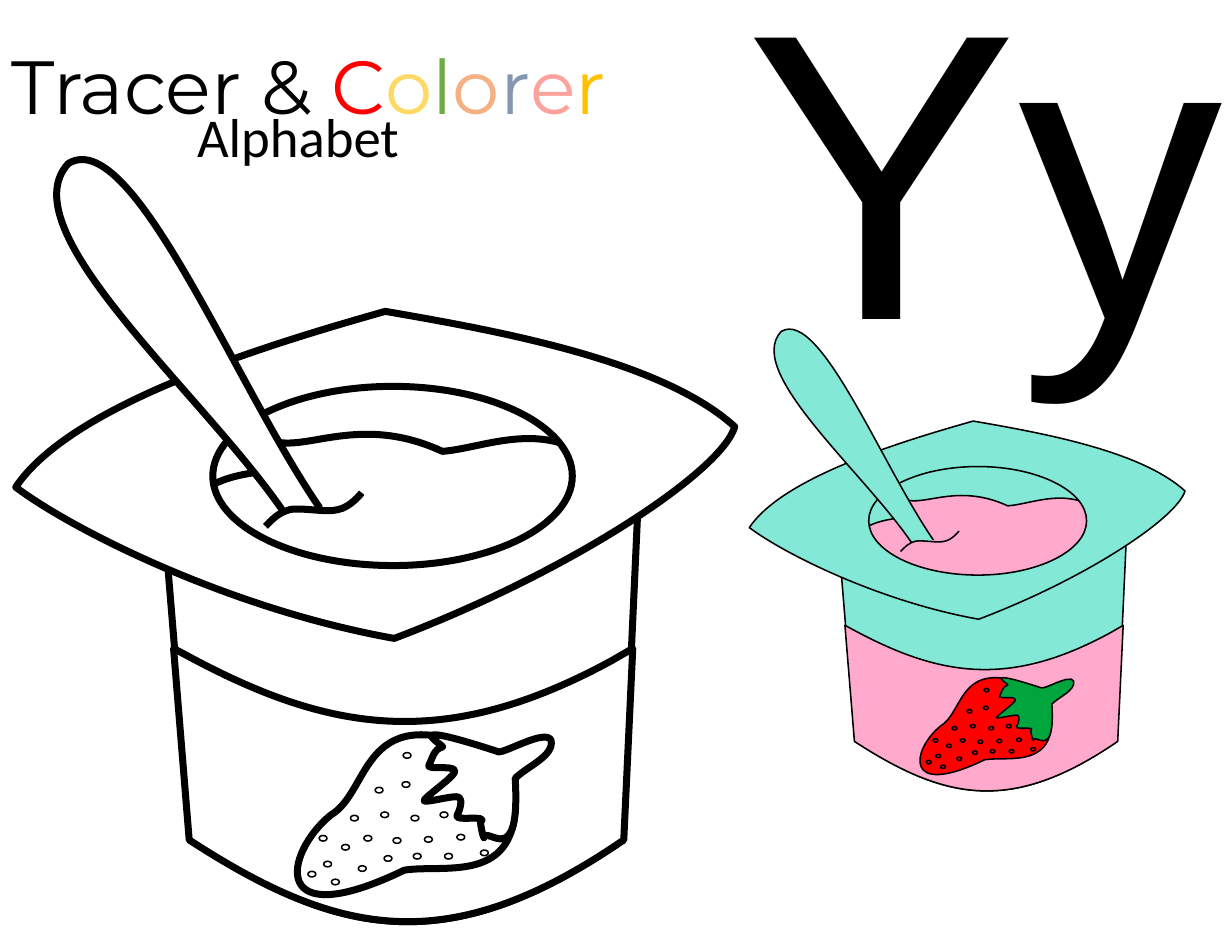
from lxml import etree
from pptx import Presentation
from pptx.dml.color import RGBColor
from pptx.enum.shapes import MSO_SHAPE
from pptx.enum.text import MSO_ANCHOR, MSO_AUTO_SIZE, PP_ALIGN
from pptx.oxml.ns import qn
from pptx.util import Inches, Pt

TITLE = [("Tracer & ", "000000"), ("C", "FF0000"), ("o", "FFD966"), ("l", "70AD47"),
         ("o", "F4B183"), ("r", "8497B0"), ("e", "FCA29C"), ("r", "FFC000")]
SUBTITLE = [("Alphabet", "000000")]
LETTERS = [("Yy", "000000")]

CUP = [[(1.39, 3.74), (3.81, 2.56, 5.3, 3.36, 5.73, 3.78), (5.56, 7.5),
        (4.01, 8.57, 3.03, 8.37, 1.7, 7.5)]]
LABEL = [[(1.55, 5.79), (1.7, 5.87), (2.97, 6.55, 3.99, 6.7, 5.46, 5.9), (5.65, 5.79),
          (5.57, 7.5), (4.01, 8.57, 3.03, 8.37, 1.69, 7.5)]]
YOGURT = [[(2.49, 3.95), (2.79, 4, 3.26, 3.71, 3.95, 4.03), (4.36, 4, 4.97, 3.67, 5.49, 4.29),
           (5.13, 4.56, 5.09, 4.83, 4.4, 5.1), (2.28, 5.1),
           (1.83, 4.95, 1.28, 4.33, 2.35, 4.21), (2.38, 4.02, 2.16, 3.97, 2.49, 3.95)]]
LID = [[(3.44, 2.78), (4.48, 2.96, 5.91, 3.22, 6.56, 3.81), (6.45, 4.2, 5.13, 5.09, 3.52, 5.7),
        (2.06, 5.44, 0.66, 4.74, 0.14, 4.35), (0.63, 3.62, 2.31, 3.1, 3.44, 2.78)],
       [(3.51, 3.45), (2.62, 3.45, 1.9, 3.81, 1.9, 4.25), (1.9, 4.69, 2.62, 5.05, 3.51, 5.05),
        (4.39, 5.05, 5.11, 4.69, 5.11, 4.25), (5.11, 3.81, 4.39, 3.45, 3.51, 3.45)]]
SPOON = [[(0.61, 1.46), (1.2, 1.1, 2.15, 3.58, 2.93, 4.64), (2.63, 4.72),
          (1.96, 3.63, 0.04, 2.08, 0.61, 1.46)]]
DIP = [[(3.36, 4.32), (3.61, 4.33, 3.6, 4.41, 3.64, 4.51), (3.5, 4.62, 2.9, 4.72, 2.64, 4.82),
        (2.41, 4.75, 2.44, 4.75, 2.37, 4.68), (2.43, 4.61, 2.87, 4.55, 3.03, 4.48),
        (3.2, 4.43, 3.25, 4.3, 3.36, 4.32)]]
RIPPLE = [[(2.37, 4.7), (2.43, 4.64, 2.48, 4.58, 2.59, 4.55),
           (2.7, 4.53, 2.92, 4.58, 3.02, 4.55), (3.13, 4.53, 3.23, 4.4, 3.23, 4.4)]]
BERRY = [[(4.41, 6.74), (4.59, 6.98), (4.7, 7.93, 3.98, 7.71, 3.61, 7.77),
          (2.41, 8.35, 2.53, 7.63, 2.95, 7.28), (3.33, 7.06, 3.21, 6.19, 4.41, 6.74)]]
LEAF = [[(4.44, 6.71), (4.47, 6.75, 4.87, 6.5, 4.92, 6.61), (4.95, 6.75, 4.71, 6.84, 4.6, 6.95),
         (4.65, 7.79, 4.35, 7.37, 4.32, 7.48), (4.31, 7.46, 4.29, 7.37, 4.29, 7.34),
         (4.37, 7.27, 4.05, 7.34, 4.08, 7.28), (4.11, 7.23, 4.13, 7.14, 4.1, 7.12),
         (4.07, 7.09, 3.74, 7.19, 3.79, 7.14), (3.84, 7.08, 4.08, 6.92, 4.06, 6.88),
         (4.04, 6.83, 3.8, 6.88, 3.83, 6.83), (3.86, 6.78, 3.87, 6.69, 3.95, 6.67),
         (3.99, 6.67, 3.49, 6.4, 4.44, 6.71)]]
SEEDS = [(3.6, 6.72), (3.59, 6.98), (3.35, 7.03), (3.4, 7.25), (3.67, 7.28), (3.93, 7.25),
         (3.79, 7.47), (4.08, 7.45), (3.97, 7.62), (4.29, 7.59), (3.69, 7.62), (3.51, 7.48),
         (3.13, 7.28), (3.25, 7.46), (3.43, 7.64), (3.2, 7.73), (3.05, 7.54), (2.85, 7.46),
         (2.89, 7.69), (2.96, 7.85), (2.75, 7.78)]
SEED_SIZE = (0.07, 0.05)
SEED_LINE = 1
LID_BOX = (0.14, 2.78, 6.42)
SMALL_LID_BOX = (6.69, 3.76, 3.89)
CURVE_STEPS = 20

PARTS = [(CUP, "cup", True), (LABEL, "yogurt", True), (YOGURT, "yogurt", True),
         (LID, "cup", True), (SPOON, "cup", True), (DIP, "yogurt", False),
         (RIPPLE, "yogurt", True), (BERRY, "berry", True), (LEAF, "leaf", True)]
COLORED = {"cup": "83E8D6", "yogurt": "FFA9CC", "berry": "FF0000", "leaf": "00A53E"}
BLANK = dict.fromkeys(COLORED, "FFFFFF")


def color(hex_string):
    return RGBColor.from_string(hex_string)


def pairs(segment):
    return list(zip(segment[::2], segment[1::2]))


def flatten(contour):
    points = [contour[0]]
    for segment in contour[1:]:
        if len(segment) == 2:
            points.append(segment)
            continue
        nodes = [points[-1]] + pairs(segment)
        for step in range(1, CURVE_STEPS + 1):
            t = step / CURVE_STEPS
            weights = ((1 - t) ** 3, 3 * t * (1 - t) ** 2, 3 * t * t * (1 - t), t ** 3)
            points.append(tuple(sum(weight * node[axis] for weight, node in zip(weights, nodes))
                                for axis in (0, 1)))
    return points


def draw_outline(shapes, contours, place, closed):
    points = [place(point) for contour in contours for point in flatten(contour)]
    builder = shapes.build_freeform(*points[0])
    builder.add_line_segments(points[1:], close=closed)
    shape = builder.convert_to_shape()
    outline = next(shape.element.iter(qn("a:path")))
    for child in list(outline):
        outline.remove(child)
    for contour in contours:
        for index, segment in enumerate(contour):
            tag = "a:cubicBezTo" if len(segment) == 6 else "a:lnTo" if index else "a:moveTo"
            command = etree.SubElement(outline, qn(tag))
            for x, y in map(place, pairs(segment)):
                etree.SubElement(command, qn("a:pt"), x=str(x - shape.left), y=str(y - shape.top))
        if closed:
            etree.SubElement(outline, qn("a:close"))
    return shape


def paint(shape, fill, line_width):
    shape.shadow.inherit = False
    shape.fill.solid()
    shape.fill.fore_color.rgb = color(fill)
    if line_width:
        shape.line.color.rgb = color("000000")
        shape.line.width = Pt(line_width)
    else:
        shape.line.fill.background()


def draw_cup(slide, lid_box, palette, line_width):
    shapes = slide.shapes.add_group_shape().shapes
    scale = lid_box[2] / LID_BOX[2]

    def place(point):
        return tuple(Inches(start + scale * (value - origin))
                     for start, value, origin in zip(lid_box, point, LID_BOX))

    for contours, part, outlined in PARTS:
        shape = draw_outline(shapes, contours, place, contours is not RIPPLE)
        paint(shape, palette[part], line_width if outlined else 0)
    width, height = (Inches(scale * side) for side in SEED_SIZE)
    for seed in SEEDS:
        paint(shapes.add_shape(MSO_SHAPE.OVAL, *place(seed), width, height),
              palette["berry"], SEED_LINE)


def write(shape, box, pieces, font_name, size, alignment):
    shape.left, shape.top, shape.width, shape.height = (Inches(length) for length in box)
    frame = shape.text_frame
    frame.word_wrap = True
    frame.auto_size = MSO_AUTO_SIZE.SHAPE_TO_FIT_TEXT
    frame.vertical_anchor = MSO_ANCHOR.TOP
    paragraph = frame.paragraphs[0]
    paragraph.alignment = alignment
    for text, hex_string in pieces:
        run = paragraph.add_run()
        run.text = text
        run.font.name = font_name
        run.font.size = Pt(size)
        run.font.color.rgb = color(hex_string)


def main():
    presentation = Presentation()
    presentation.slide_width, presentation.slide_height = Inches(11), Inches(8.5)
    slide = presentation.slides.add_slide(presentation.slide_layouts[5])
    write(slide.shapes.title, (0, 0.3, 6.42, 0.92), TITLE, "Montserrat", 48.4, PP_ALIGN.LEFT)
    letters = slide.shapes.add_textbox(0, 0, 0, 0)
    write(letters, (6.56, -0.85, 5.51, 4.53), LETTERS, "Arial", 262.9, PP_ALIGN.LEFT)
    draw_cup(slide, SMALL_LID_BOX, COLORED, 1)
    draw_cup(slide, LID_BOX, BLANK, 4.5)
    subtitle = slide.shapes.add_textbox(0, 0, 0, 0)
    write(subtitle, (0.1, 0.87, 5.12, 0.69), SUBTITLE, "Calibri", 35.2, PP_ALIGN.CENTER)
    presentation.save("out.pptx")


if __name__ == "__main__":
    main()
